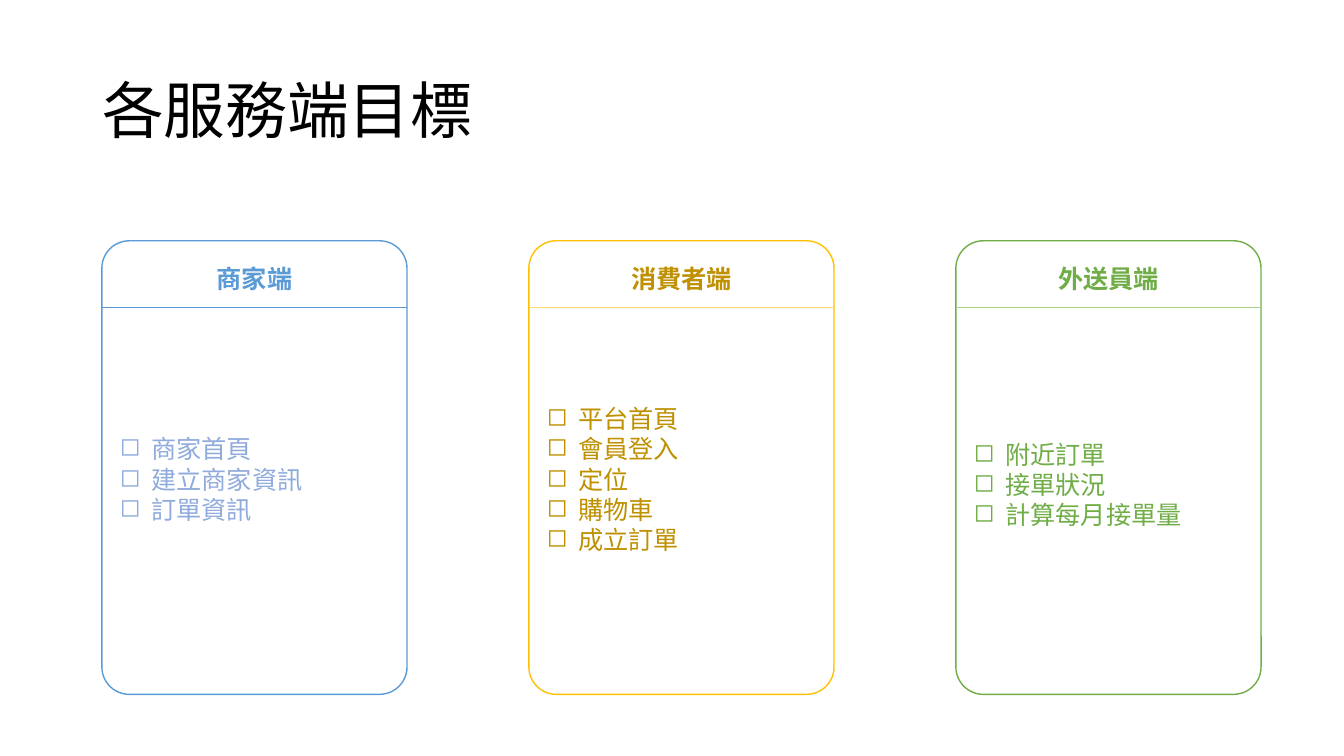
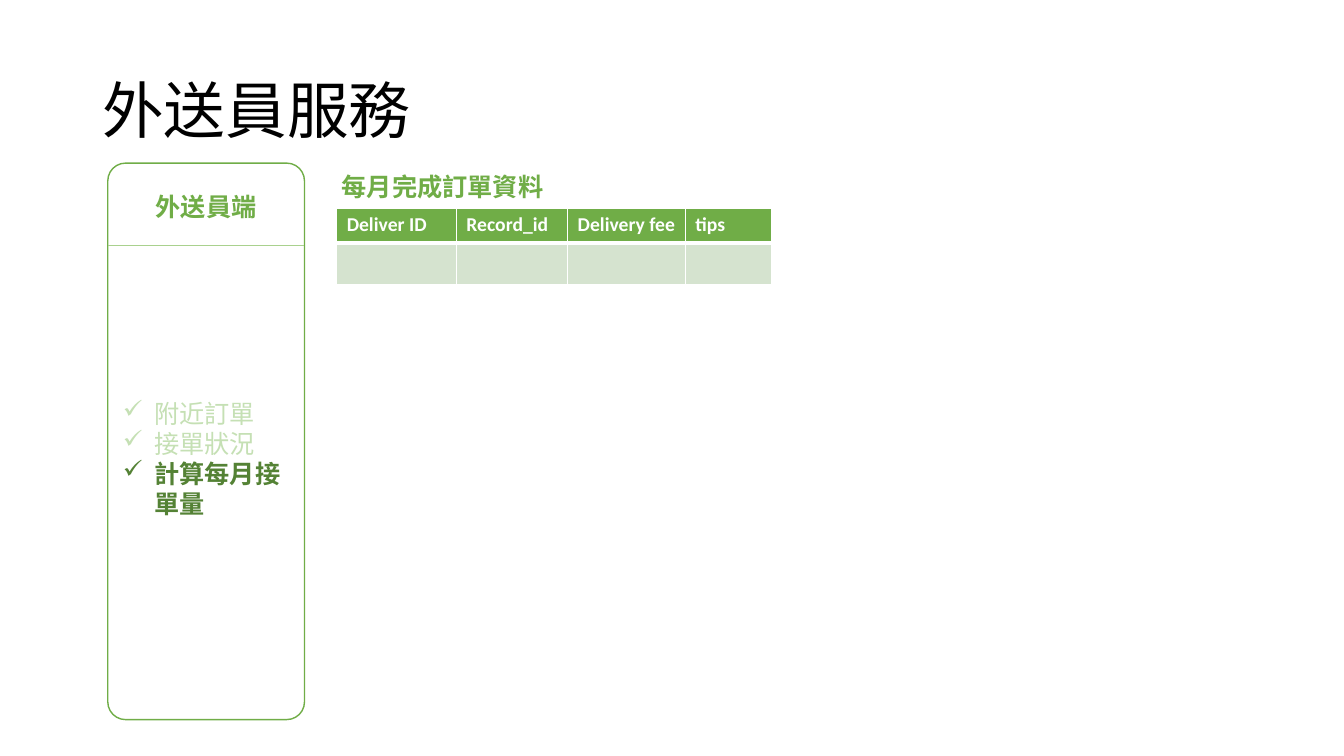
import pptx
import pptx.util
import pptx.dml.color
import pptx.enum.shapes
import pptx.enum.text
import pptx.oxml
import lxml.etree

Pt = pptx.util.Pt
RGB = pptx.dml.color.RGBColor.from_string
SHAPE = pptx.enum.shapes.MSO_SHAPE
ALIGN = pptx.enum.text.PP_ALIGN
ANCHOR = pptx.enum.text.MSO_ANCHOR
NS = "http://schemas.openxmlformats.org/drawingml/2006/main"
HEAD_FONT = "Noto Sans CJK SC"
BODY_FONT = "Calibri"
COLORS = {
    "black": "000000", "white": "FFFFFF",
    "blue": "5B9BD5", "soft_blue": "8FAADC",
    "gold": "FFC000", "dark_gold": "BF9000", "soft_gold": "FFD966",
    "green": "70AD47", "soft_green": "A9D18E", "pale_green": "C5E0B4",
    "dark_green": "548235", "row_green": "D5E3CF",
}


def add_text(s, text, box, size=18, color="black", bold=True, align=ALIGN.CENTER):
    tf = s.shapes.add_textbox(*[Pt(v) for v in box]).text_frame
    tf.word_wrap = True
    tf.vertical_anchor = ANCHOR.MIDDLE
    p = tf.paragraphs[0]
    p.alignment = align
    r = p.add_run()
    r.text = text
    r.font.size = Pt(size)
    r.font.bold = bold
    r.font.name = HEAD_FONT
    r.font.color.rgb = RGB(COLORS[color])
    lxml.etree.SubElement(r.font._element, f"{{{NS}}}ea", typeface=HEAD_FONT)
    return p


def add_card(s, box, head, head_y, rule_y, outline, rule, head_color, bullet, items, inset):
    x, y, w, h = box
    sp = s.shapes.add_shape(SHAPE.ROUNDED_RECTANGLE, Pt(x), Pt(y), Pt(w), Pt(h))
    sp.shadow.inherit = False
    sp.adjustments[0] = 0.09
    sp.fill.solid()
    sp.fill.fore_color.rgb = RGB(COLORS["white"])
    sp.line.color.rgb = RGB(COLORS[outline])
    sp.line.width = Pt(1)
    tf = sp.text_frame
    tf.word_wrap = True
    tf.vertical_anchor = ANCHOR.MIDDLE
    tf.margin_top = Pt(inset)
    for i, (text, color, bold) in enumerate(items):
        p = tf.paragraphs[0] if i == 0 else tf.add_paragraph()
        p.alignment = ALIGN.LEFT
        pPr = p._p.get_or_add_pPr()
        pPr.set("marL", str(Pt(22.5)))
        pPr.set("indent", str(-Pt(22.5)))
        lxml.etree.SubElement(pPr, f"{{{NS}}}buChar", char=bullet)
        r = p.add_run()
        r.text = text
        r.font.size = Pt(18)
        r.font.bold = bold
        r.font.name = BODY_FONT
        r.font.color.rgb = RGB(COLORS[color])
    line = s.shapes.add_connector(
        pptx.enum.shapes.MSO_CONNECTOR.STRAIGHT, Pt(x), Pt(rule_y), Pt(x + w), Pt(rule_y))
    line.line.color.rgb = RGB(COLORS[rule])
    line.line.width = Pt(0.5)
    lxml.etree.SubElement(line._element.spPr, f"{{{NS}}}effectLst")
    add_text(s, head, (x, head_y, w, 29), color=head_color)


prs = pptx.Presentation()
prs.slide_width = Pt(960)
prs.slide_height = Pt(540)

slides = []
for title in ("各服務端目標", "外送員服務"):
    s = prs.slides.add_slide(prs.slide_layouts[6])
    p = add_text(s, title, (66, 28.75, 828, 104.4), 44, bold=False, align=ALIGN.LEFT)
    p.line_spacing = 0.9
    slides.append(s)

goals, courier = slides

cards = [
    ("商家端", "blue", "blue", "blue", "soft_blue", 20,
     ["商家首頁", "建立商家資訊", "訂單資訊"]),
    ("消費者端", "gold", "soft_gold", "dark_gold", "dark_gold", 20,
     ["平台首頁", "會員登入", "定位", "購物車", "成立訂單"]),
    ("外送員端", "green", "soft_green", "green", "green", 28,
     ["附近訂單", "接單狀況", "計算每月接單量"]),
]
for i, (head, outline, rule, head_color, color, inset, texts) in enumerate(cards):
    add_card(goals, (72.75 + 305 * i, 172, 218, 324), head, 184.5, 219.5,
             outline, rule, head_color, "◻", [(t, color, False) for t in texts], inset)

steps = [("附近訂單", "pale_green", False), ("接單狀況", "pale_green", False),
         ("計算每月接單量", "dark_green", True)]
add_card(courier, (77, 116.5, 140.5, 397.5), "外送員端", 133, 175,
         "green", "soft_green", "green", "✓", steps, 28)

columns = [("Deliver ID", 85.5), ("Record_id", 79.5), ("Delivery fee", 84), ("tips", 62)]
table = courier.shapes.add_table(
    2, len(columns), Pt(240.5), Pt(148.5), Pt(sum(w for _, w in columns)), Pt(54.5)).table
table.rows[0].height = Pt(25)
table.rows[1].height = Pt(29.5)
for c, (head, width) in enumerate(columns):
    table.columns[c].width = Pt(width)
    r = table.cell(0, c).text_frame.paragraphs[0].add_run()
    r.text = head
    r.font.size = Pt(14)
    r.font.bold = True
    r.font.name = BODY_FONT
    r.font.color.rgb = RGB(COLORS["white"])
    for row, fill in enumerate(("green", "row_green")):
        cell = table.cell(row, c)
        tcPr = cell._tc.get_or_add_tcPr()
        for side in "LRTB":
            thick = (row, side) in ((0, "B"), (1, "T"))
            tcPr.append(pptx.oxml.parse_xml(
                f'<a:ln{side} xmlns:a="{NS}" w="{Pt(3 if thick else 1)}"><a:solidFill>'
                f'<a:srgbClr val="{COLORS["white"]}"/></a:solidFill></a:ln{side}>'))
        cell.fill.solid()
        cell.fill.fore_color.rgb = RGB(COLORS[fill])

add_text(courier, "每月完成訂單資料", (228, 119, 176, 29), color="green")

prs.save("out.pptx")
